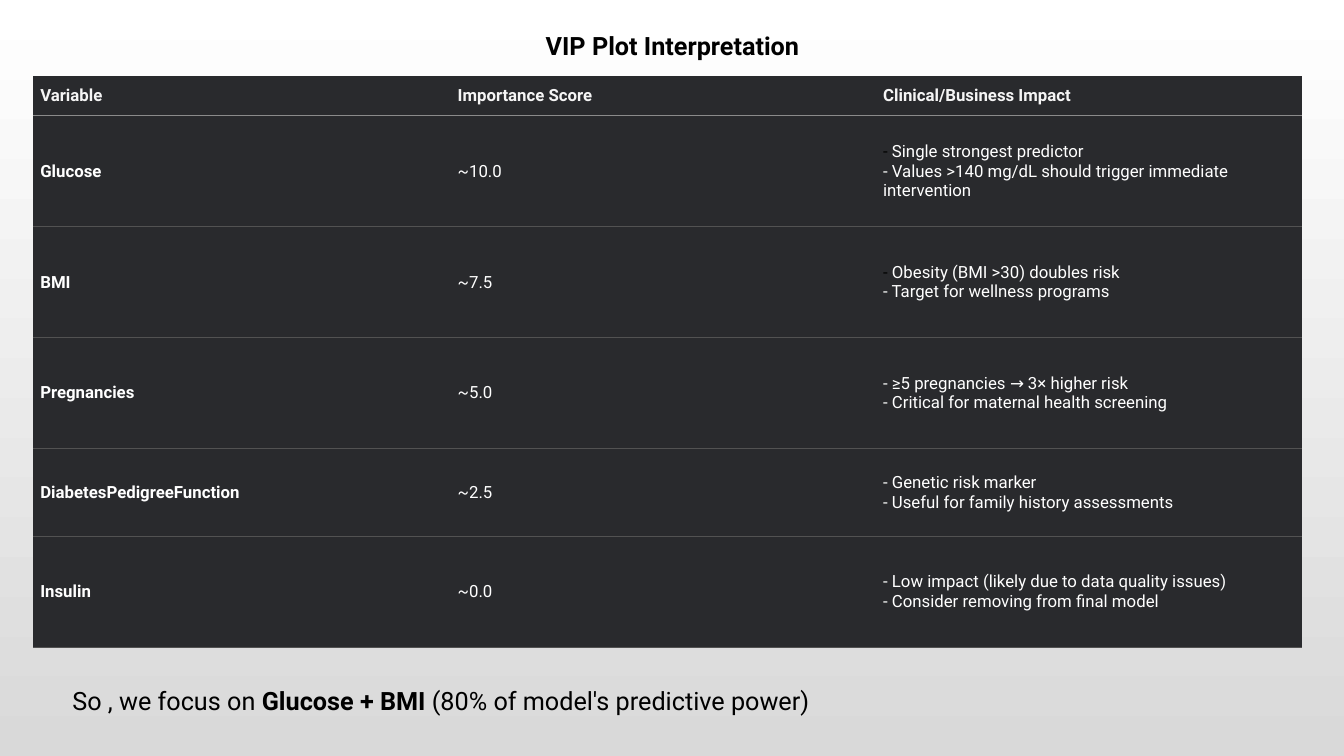
from lxml import etree
from pptx import Presentation
from pptx.dml.color import RGBColor
from pptx.enum.text import MSO_ANCHOR, PP_ALIGN
from pptx.oxml.ns import qn
from pptx.util import Inches, Pt

CENTER = PP_ALIGN.CENTER
MIDDLE = MSO_ANCHOR.MIDDLE
FONT = "Roboto"
NO_STYLE = "{2D5ABB26-0587-4C30-8999-92F81FD0307C}"
COLORS = {
    "black": "000000",
    "white": "FFFFFF",
    "header": "F5F5F5",
    "cell": "292A2D",
    "header_line": "8B8B8B",
    "row_line": "525252",
    "background": "D9D9D9",
}

TITLE = "VIP Plot Interpretation"
CONCLUSION = [
    ("So , we focus on ", False),
    ("Glucose + BMI", True),
    (" (80% of model's predictive power)", False),
]
HEADERS = ["Variable", "Importance Score", "Clinical/Business Impact"]
VARIABLES = [
    ("Glucose", "~10.0",
     "- Single strongest predictor\n- Values >140 mg/dL should trigger immediate intervention"),
    ("BMI", "~7.5", "- Obesity (BMI >30) doubles risk\n- Target for wellness programs"),
    ("Pregnancies", "~5.0",
     "- ≥5 pregnancies → 3× higher risk\n- Critical for maternal health screening"),
    ("DiabetesPedigreeFunction", "~2.5",
     "- Genetic risk marker\n- Useful for family history assessments"),
    ("Insulin", "~0.0",
     "- Low impact (likely due to data quality issues)\n- Consider removing from final model"),
]
DARK_DASH = {"Glucose", "BMI"}
COLUMN_WIDTHS = [4.14, 4.22, 4.22]
ROW_HEIGHTS = [0.4, 1.1, 1.1, 1.1, 0.87, 1.1]
CELL_MARGIN = 0.07


def rgb(name):
    return RGBColor.from_string(COLORS[name])


def format_run(run, size, color, bold):
    run.font.name = FONT
    run.font.size = Pt(size)
    run.font.bold = bold
    run.font.color.rgb = rgb(color)


def add_text(slide, left, top, width, pieces, alignment=None):
    box = slide.shapes.add_textbox(Inches(left), Inches(top), Inches(width), Inches(0.71))
    box.text_frame.word_wrap = True
    paragraph = box.text_frame.paragraphs[0]
    paragraph.alignment = alignment
    for text, bold in pieces:
        run = paragraph.add_run()
        run.text = text
        format_run(run, 18, "black", bold)


def add_bottom_line(cell, color):
    line = etree.Element(qn("a:lnB"), w=str(Pt(0.75)))
    fill = etree.SubElement(line, qn("a:solidFill"))
    etree.SubElement(fill, qn("a:srgbClr"), val=COLORS[color])
    cell._tc.get_or_add_tcPr().insert(0, line)


def fill_cell(cell, text, color, bold, line_color, dark_dash):
    cell.fill.solid()
    cell.fill.fore_color.rgb = rgb("cell")
    cell.vertical_anchor = MIDDLE
    cell.margin_left = cell.margin_right = Inches(CELL_MARGIN)
    cell.margin_top = cell.margin_bottom = Inches(CELL_MARGIN)
    add_bottom_line(cell, line_color)
    paragraph = cell.text_frame.paragraphs[0]
    if dark_dash:
        dash = paragraph.add_run()
        dash.text = "-"
        format_run(dash, 12, "black", bold)
        text = text[1:]
    for index, part in enumerate(text.split("\n")):
        if index:
            paragraph.add_line_break()
        run = paragraph.add_run()
        run.text = part
        format_run(run, 12, color, bold)
    for line_break in paragraph._p.findall(qn("a:br")):
        etree.SubElement(line_break, qn("a:rPr"), sz="1200")


def add_variable_table(slide):
    frame = slide.shapes.add_table(
        len(ROW_HEIGHTS), len(COLUMN_WIDTHS), Inches(0.33), Inches(0.75),
        Inches(sum(COLUMN_WIDTHS)), Inches(sum(ROW_HEIGHTS)))
    table = frame.table
    table.horz_banding = False
    table._tbl.tblPr.find(qn("a:tableStyleId")).text = NO_STYLE
    for column, width in zip(table.columns, COLUMN_WIDTHS):
        column.width = Inches(width)
    for row, height in zip(table.rows, ROW_HEIGHTS):
        row.height = Inches(height)
    for row_index, values in enumerate([HEADERS, *VARIABLES]):
        is_header = row_index == 0
        for column_index, text in enumerate(values):
            fill_cell(
                table.cell(row_index, column_index), text,
                color="header" if is_header else "white",
                bold=is_header or column_index == 0,
                line_color="header_line" if is_header else "row_line",
                dark_dash=column_index == 2 and values[0] in DARK_DASH)


def main():
    presentation = Presentation()
    presentation.slide_width = Inches(13.33)
    presentation.slide_height = Inches(7.5)
    slide = presentation.slides.add_slide(presentation.slide_layouts[6])
    background = slide.background.fill
    background.gradient()
    background.gradient_angle = 90
    for stop, color in zip(background.gradient_stops, ["background", "white"]):
        stop.color.rgb = rgb(color)
    add_text(slide, 0.17, 0.25, 13, [(TITLE, True)], CENTER)
    add_variable_table(slide)
    add_text(slide, 0.62, 6.75, 12.08, CONCLUSION)
    presentation.save("out.pptx")


if __name__ == "__main__":
    main()
